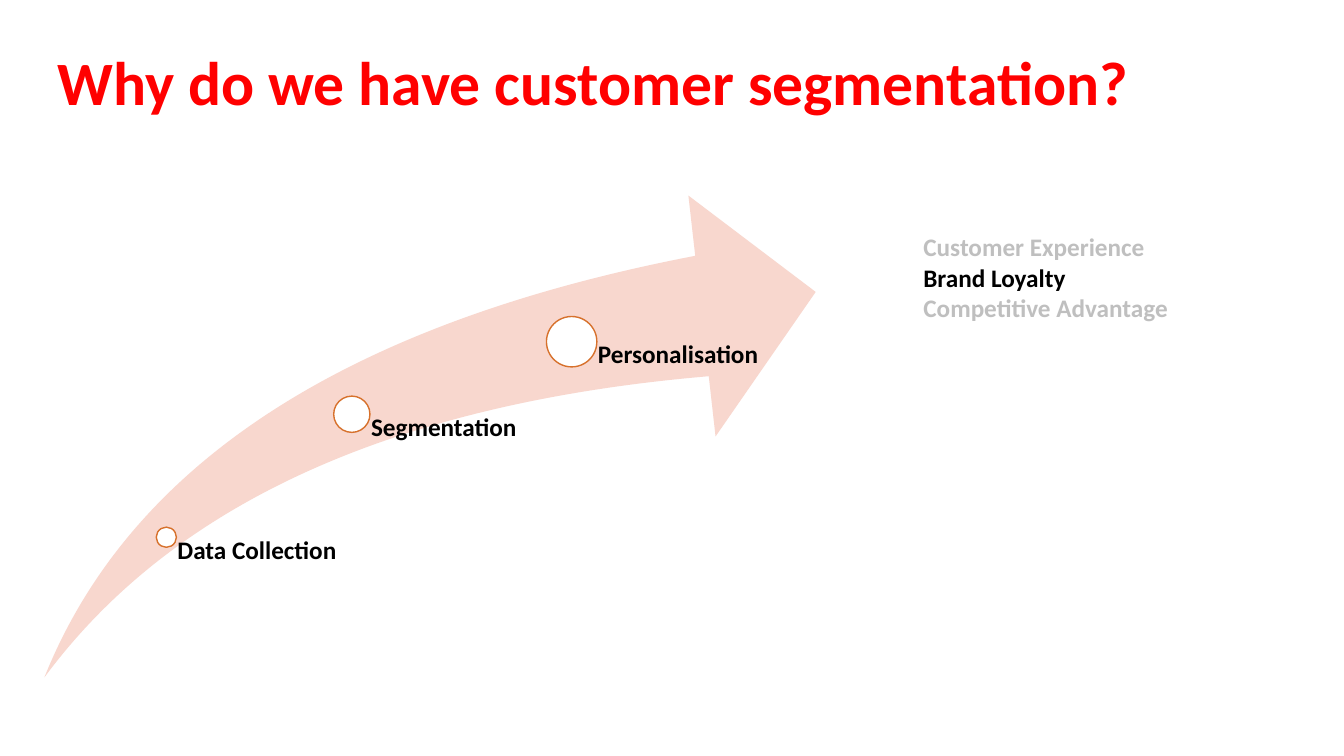
from pptx import Presentation
from pptx.dml.color import RGBColor as RGB
from pptx.enum.shapes import MSO_SHAPE as SHAPE
from pptx.enum.text import MSO_ANCHOR as ANCHOR, MSO_AUTO_SIZE as FIT
from pptx.util import Pt

PX = 9144  # EMU in one px, 100 px to the inch
COLORS = {
    "title": "FF0000",
    "swoosh": "F8D7CE",
    "ring": "D7712C",
    "white": "FFFFFF",
    "strong": "000000",
    "muted": "BFBFBF",
}


class SlideBuilder:
    font = "Calibri"

    def __init__(self, slide):
        self.slide = slide

    def color(self, name):
        return RGB.from_string(COLORS[name])

    def shape(self, kind, x, y, w, h, fill, line=None):
        sp = self.slide.shapes.add_shape(kind, x * PX, y * PX, w * PX, h * PX)
        sp.shadow.inherit = False
        sp.fill.solid()
        sp.fill.fore_color.rgb = self.color(fill)
        if line:
            sp.line.color.rgb = self.color(line)
            sp.line.width = Pt(1)
        else:
            sp.line.fill.background()
        return sp

    def text(self, x, y, w, h, lines, size, insets=(10, 5, 10, 5),
             anchor=ANCHOR.TOP, spacing=1.0, wrap=True):
        """Write lines, given as (text, color) pairs."""
        sp = self.slide.shapes.add_textbox(x * PX, y * PX, w * PX, h * PX)
        tf = sp.text_frame
        tf.word_wrap = wrap
        tf.auto_size = FIT.NONE if wrap else FIT.SHAPE_TO_FIT_TEXT
        tf.vertical_anchor = anchor
        tf.margin_left, tf.margin_top, tf.margin_right, tf.margin_bottom = (
            inset * PX for inset in insets)
        tf.text = "\n".join(text for text, _ in lines)
        for p, (_, color) in zip(tf.paragraphs, lines):
            p.line_spacing = spacing
            for r in p.runs:
                r.font.name = self.font
                r.font.size = Pt(size)
                r.font.bold = True
                r.font.color.rgb = self.color(color)
        return sp

    def step(self, cx, cy, diameter, label, width, bottom):
        """Draw a ring with its label starting at the ring's centre."""
        radius = diameter // 2
        self.shape(SHAPE.OVAL, cx - radius, cy - radius, diameter, diameter,
                   "white", "ring")
        self.text(cx, cy, width, bottom - cy, [(label, "strong")], 18,
                  insets=(radius + 1, 0, 0, 0), spacing=0.9)


def main():
    prs = Presentation()
    prs.slide_width, prs.slide_height = 1333 * PX, 750 * PX
    s = SlideBuilder(prs.slides.add_slide(prs.slide_layouts[6]))

    # Title
    s.text(47, 23, 1150, 123, [("Why do we have customer segmentation?", "title")],
           44, anchor=ANCHOR.MIDDLE, spacing=0.9)

    # Rising arrow
    swoosh = s.shape(SHAPE.SWOOSH_ARROW, 44, 194, 765, 478, "swoosh")
    swoosh.adjustments[0] = swoosh.adjustments[1] = 0.25

    # Steps along the arrow
    for cx, cy, diameter, label, width in (
        (165, 533, 20, "Data Collection", 210),
        (349, 411, 36, "Segmentation", 203),
        (567, 339, 50, "Personalisation", 223),
    ):
        s.step(cx, cy, diameter, label, width, bottom=671)

    # Benefits
    s.text(906, 225, 265, 101, [
        ("Customer Experience", "muted"),
        ("Brand Loyalty", "strong"),
        ("Competitive Advantage", "muted"),
    ], 18, wrap=False)

    prs.save("out.pptx")


if __name__ == "__main__":
    main()
